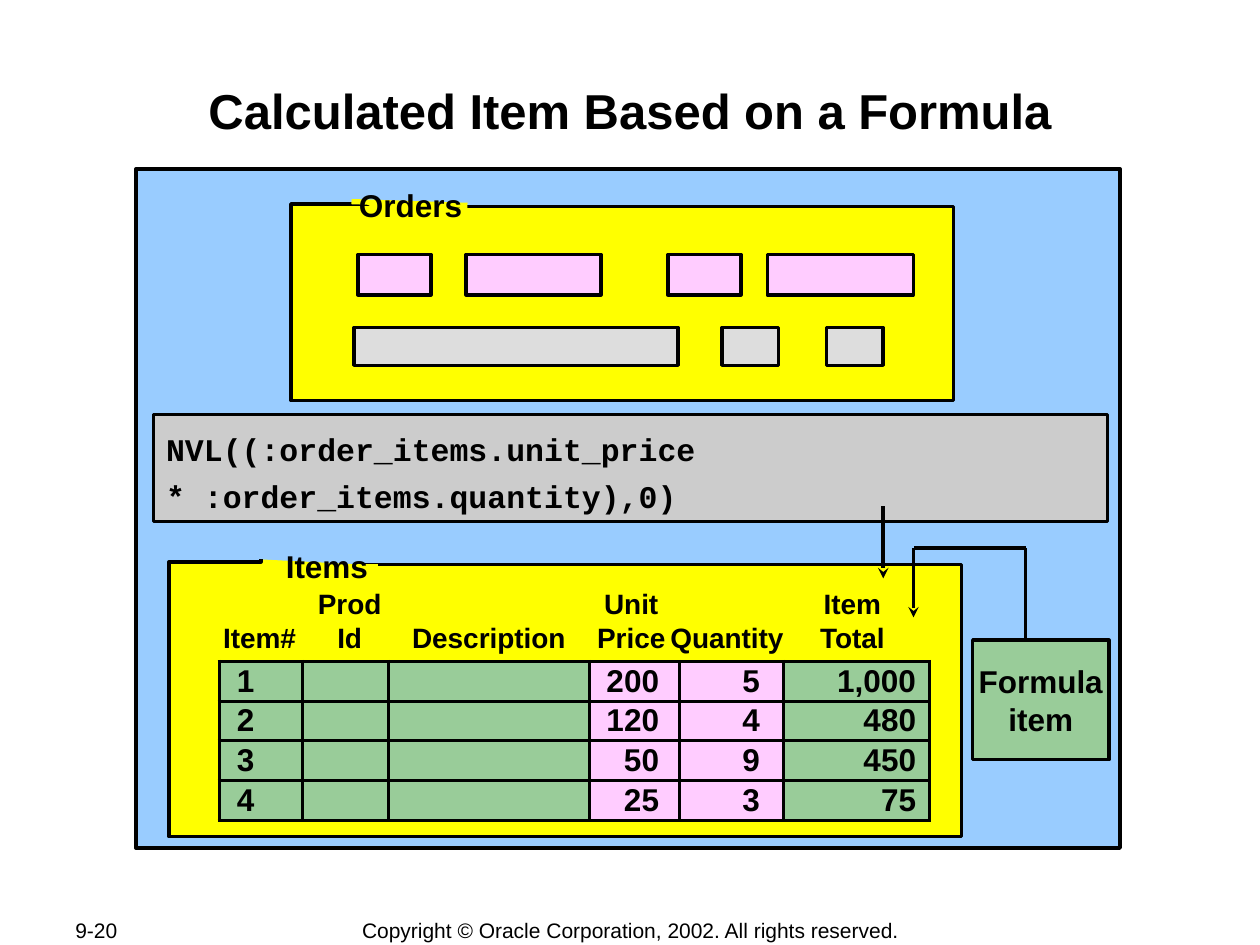
from collections import namedtuple

from lxml.etree import SubElement
from pptx import Presentation
from pptx.dml.color import RGBColor
from pptx.enum.shapes import MSO_CONNECTOR, MSO_SHAPE
from pptx.enum.text import MSO_ANCHOR, PP_ALIGN
from pptx.oxml.ns import qn
from pptx.util import Inches, Pt

COLORS = {
    "black": "000000",
    "panel": "99CCFF",
    "block": "FFFF00",
    "entry": "FFCCFF",
    "display": "DDDDDD",
    "code": "CCCCCC",
    "record": "99CC99",
}

Box = namedtuple("Box", "left top width height")


def rgb(name):
    return RGBColor.from_string(COLORS[name])


def inside(area, left, top, width, height):
    return Box(area.left + left, area.top + top, width, height)


def lengths(box):
    return [Inches(value) for value in box]


def style_outline(shape, fill):
    shape.shadow.inherit = False
    shape.fill.solid()
    shape.fill.fore_color.rgb = rgb(fill)
    shape.line.color.rgb = rgb("black")
    shape.line.width = Pt(2)


def write(frame, text, size, bold=True, font="Arial", align=PP_ALIGN.LEFT,
          anchor=MSO_ANCHOR.TOP, wrap=False, spacing=None):
    frame.text = text
    frame.word_wrap = wrap
    frame.vertical_anchor = anchor
    for para in frame.paragraphs:
        para.alignment = align
        para.line_spacing = spacing
        para.font.name = font
        para.font.size = Pt(size)
        para.font.bold = bold
        para.font.color.rgb = rgb("black")


def add_label(page, box, text, size, **options):
    label = page.shapes.add_textbox(*lengths(box))
    write(label.text_frame, text, size, **options)
    return label


def add_rectangle(page, box, fill):
    rectangle = page.shapes.add_shape(MSO_SHAPE.RECTANGLE, *lengths(box))
    style_outline(rectangle, fill)
    return rectangle


def add_line(page, start, end, color="black", width=2, arrow=False):
    points = [Inches(value) for value in (*start, *end)]
    line = page.shapes.add_connector(MSO_CONNECTOR.STRAIGHT, *points)
    line.line.color.rgb = rgb(color)
    line.line.width = Pt(width)
    if arrow:
        SubElement(line.line._get_or_add_ln(), qn("a:tailEnd"), type="stealth")
    SubElement(line._element.spPr, qn("a:effectLst"))


def add_block_frame(page, area, points):
    places = [(Inches(area.left + x), Inches(area.top + y)) for x, y in points]
    builder = page.shapes.build_freeform(*places[0])
    builder.add_line_segments(places[1:], close=False)
    style_outline(builder.convert_to_shape(), "block")


def add_title(page, box):
    title = add_label(page, box, "Calculated Item Based on a Formula", 28,
                      align=PP_ALIGN.CENTER, wrap=True)
    title.text_frame.margin_top = Inches(0.06)


def add_orders_block(page, area):
    right, bottom = area.width, area.height
    add_block_frame(page, area, [
        (1.26, 0.03), (right, 0.03), (right, bottom), (0, bottom),
        (0, 0.01), (0.61, 0.01), (0.61, 0),
    ])
    for left, width in ((0.53, 0.58), (1.39, 1.07), (2.99, 0.58), (3.78, 1.16)):
        add_rectangle(page, inside(area, left, 0.41, width, 0.32), "entry")
    for left, width in ((0.5, 2.57), (3.42, 0.45), (4.25, 0.45)):
        add_rectangle(page, inside(area, left, 0.99, width, 0.3), "display")
    add_line(page, (area.left + 0.48, area.top - 0.01),
             (area.left + 1.4, area.top + 0.02), "block", 3)
    add_label(page, inside(area, 0.44, -0.18, 2.09, 0.4), "Orders", 18, wrap=True)


def add_formula(page, box):
    formula = add_rectangle(page, box, "code")
    write(formula.text_frame,
          "NVL((:order_items.unit_price\v* :order_items.quantity),0)",
          18, font="Courier New", wrap=True, spacing=1.25)


def add_cell_borders(cell):
    properties = cell._tc.get_or_add_tcPr()
    for position, side in enumerate(("a:lnL", "a:lnR", "a:lnT", "a:lnB")):
        border = properties.makeelement(qn(side), {"w": str(Pt(2))})
        fill = SubElement(border, qn("a:solidFill"))
        SubElement(fill, qn("a:srgbClr"), val=COLORS["black"])
        properties.insert(position, border)


def add_records(page, box):
    widths = (0.66, 0.68, 1.6, 0.71, 0.83, 1.16)
    fills = ("record", "record", "record", "entry", "entry", "record")
    right_margins = (0, 0, 0, 0.16, 0.19, 0.11)
    rows = (
        ("1", "", "", "200", "5", "1,000"),
        ("2", "", "", "120", "4", "480"),
        ("3", "", "", "50", "9", "450"),
        ("4", "", "", "25", "3", "75"),
    )
    table = page.shapes.add_table(len(rows), len(widths), *lengths(box)).table
    table.first_row = False
    table.horz_banding = False
    for column, width in zip(table.columns, widths):
        column.width = Inches(width)
    for row_index, values in enumerate(rows):
        for index, value in enumerate(values):
            cell = table.cell(row_index, index)
            cell.margin_top = cell.margin_bottom = 0
            cell.margin_left = Inches(0.14 if index == 0 else 0)
            cell.margin_right = Inches(right_margins[index])
            cell.fill.solid()
            cell.fill.fore_color.rgb = rgb(fills[index])
            add_cell_borders(cell)
            write(cell.text_frame, value, 18, wrap=True,
                  align=PP_ALIGN.RIGHT if index > 2 else PP_ALIGN.LEFT)
            cell.vertical_anchor = MSO_ANCHOR.MIDDLE


def add_items_block(page, area):
    right, bottom = area.width, area.height
    add_block_frame(page, area, [
        (1.51, 0.04), (right, 0.04), (right, bottom), (0, bottom),
        (0, 0.02), (0.73, 0.02), (0.73, 0),
    ])
    add_records(page, inside(area, 0.4, 0.81, 5.64, 1.26))
    headings = (
        ("Item#", 0.33, 0.78), ("Prod\vId", 1.08, 0.71),
        ("Description", 1.83, 1.42), ("Unit\vPrice", 3.3, 0.74),
        ("Quantity", 3.88, 1.1), ("Item\nTotal", 5.06, 0.73),
    )
    for text, left, width in headings:
        top, height = (0.44, 0.37) if text.isprintable() else (0.17, 0.63)
        add_label(page, inside(area, left, top, width, height), text, 16,
                  align=PP_ALIGN.CENTER)
    add_line(page, (area.left + 0.74, area.top + 0.05),
             (area.left + 1.66, area.top + 0.05), "block")
    add_label(page, inside(area, 0.83, -0.15, 1.44, 0.4), "Items", 18, wrap=True)


def add_formula_callout(page, box):
    callout = add_rectangle(page, box, "record")
    write(callout.text_frame, "Formula\nitem", 18, align=PP_ALIGN.CENTER,
          anchor=MSO_ANCHOR.MIDDLE)
    stem, tip, bend = box.left + 0.42, box.left - 0.47, box.top - 0.73
    add_line(page, (stem, box.top), (stem, bend))
    add_line(page, (stem, bend), (tip, bend))
    add_line(page, (tip, bend), (tip, box.top - 0.18), arrow=True)
    add_line(page, (tip - 0.24, box.top - 1.06), (tip - 0.24, box.top - 0.49),
             arrow=True)


def add_footer(page, area):
    options = {"bold": False, "anchor": MSO_ANCHOR.MIDDLE}
    add_label(page, inside(area, 0.5, 0, 1.06, area.height), "9-20", 12, **options)
    add_label(page, inside(area, 2.76, 0, 4.49, area.height),
              "Copyright © Oracle Corporation, 2002. All rights reserved.",
              12, align=PP_ALIGN.CENTER, **options)


def main():
    deck = Presentation()
    deck.slide_width, deck.slide_height = Inches(10), Inches(7.5)
    page = deck.slides.add_slide(deck.slide_layouts[6])
    panel = Box(1.08, 1.34, 7.81, 5.39)
    add_footer(page, Box(0, 7.28, 10, 0.2))
    add_title(page, Box(1, 0.58, 8, 0.96))
    add_rectangle(page, panel, "panel")
    add_orders_block(page, inside(panel, 1.23, 0.27, 5.26, 1.57))
    add_items_block(page, inside(panel, 0.26, 3.1, 6.29, 2.2))
    add_formula(page, inside(panel, 0.14, 1.95, 7.57, 0.85))
    add_formula_callout(page, inside(panel, 6.64, 3.74, 1.08, 0.95))
    deck.save("out.pptx")


if __name__ == "__main__":
    main()
